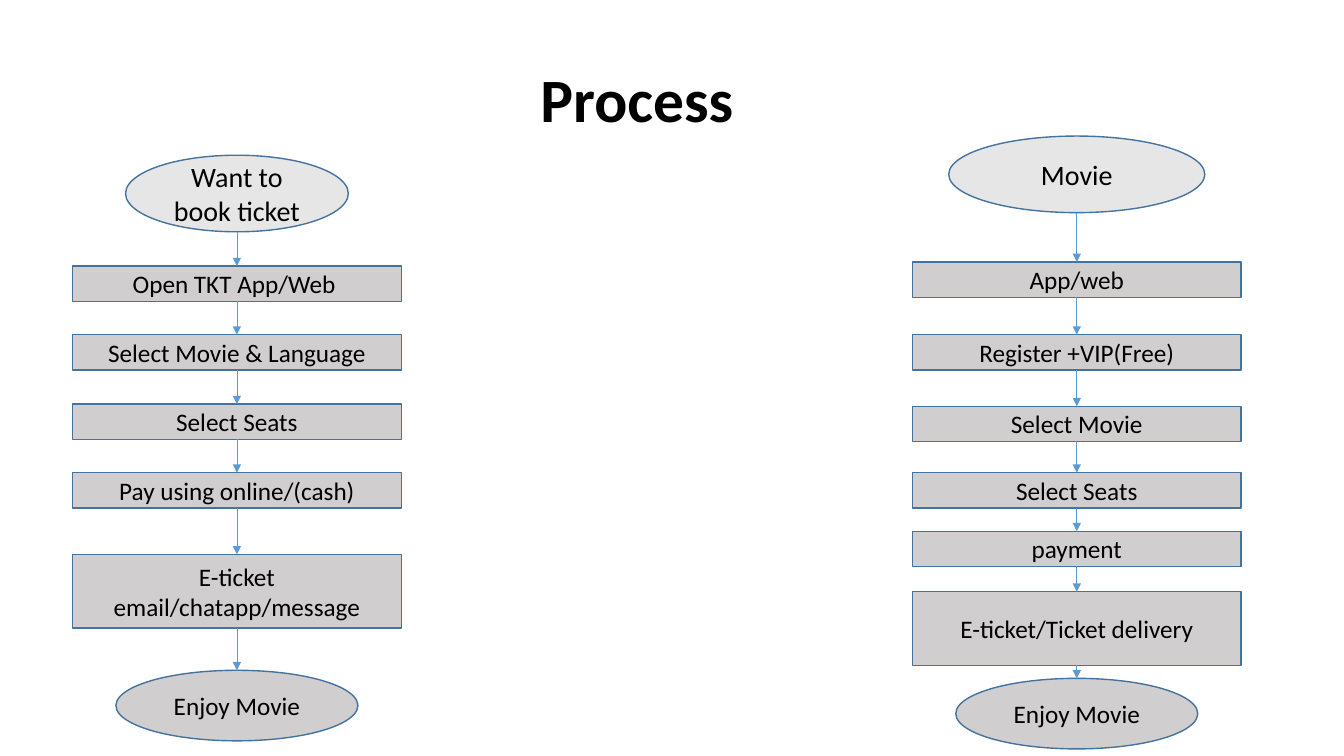
from lxml.etree import SubElement
from pptx import Presentation
from pptx.dml.color import RGBColor
from pptx.enum.shapes import MSO_CONNECTOR, MSO_SHAPE
from pptx.enum.text import MSO_ANCHOR, MSO_AUTO_SIZE, PP_ALIGN
from pptx.oxml.ns import qn
from pptx.util import Inches, Pt

FONT = "Calibri"
OVAL, RECT = MSO_SHAPE.OVAL, MSO_SHAPE.RECTANGLE
KINDS = {
    "start": dict(shape=OVAL, height=0.76, fill="E7E6E6", size=20),
    "step": dict(shape=RECT, width=3.26, height=0.35, fill="D0CECE", size=18),
    "ticket": dict(shape=RECT, width=3.26, height=0.73, fill="D0CECE", size=18),
    "end": dict(shape=OVAL, width=2.4, height=0.7, fill="D0CECE", size=18),
}
BOOKING = [
    ("start", 0, "Want to book ticket"),
    ("step", 1.1, "Open TKT App/Web "),
    ("step", 1.78, "Select Movie & Language"),
    ("step", 2.47, "Select Seats"),
    ("step", 3.15, "Pay using online/(cash)"),
    ("ticket", 3.96, "E-ticket email/chatapp/message"),
    ("end", 5.11, "Enjoy Movie"),
]
MOVIE = [
    ("start", 0, "Movie"),
    ("step", 1.25, "App/web"),
    ("step", 1.97, "Register +VIP(Free)"),
    ("step", 2.68, "Select Movie"),
    ("step", 3.34, "Select Seats"),
    ("step", 3.92, "payment"),
    ("ticket", 4.52, "E-ticket/Ticket delivery"),
    ("end", 5.38, "Enjoy Movie"),
]


def color(value):
    """Turn a hex string into a colour."""
    return RGBColor.from_string(value)


def write(tf, text, size, align, bold=False):
    """Write one formatted paragraph, centred vertically."""
    for name, value in dict(word_wrap=True, auto_size=MSO_AUTO_SIZE.NONE,
                            vertical_anchor=MSO_ANCHOR.MIDDLE).items():
        setattr(tf, name, value)
    p = tf.paragraphs[0]
    p.alignment = align
    r = p.add_run()
    r.text = text
    for name, value in dict(name=FONT, size=Pt(size), bold=bold).items():
        setattr(r.font, name, value)
    r.font.color.rgb = color("000000")


def add_title(s, left, top, width, height):
    """Place and format the title placeholder."""
    title = s.shapes.title
    for name, value in dict(left=left, top=top, width=width, height=height).items():
        setattr(title, name, Inches(value))
    write(title.text_frame, "Process", 44, PP_ALIGN.LEFT, True)
    title.text_frame.paragraphs[0].line_spacing = 0.9


def add_node(s, center, top, width, text, kind):
    """Draw one step of a flow around its centre line."""
    sp = s.shapes.add_shape(kind["shape"], Inches(center - width / 2), Inches(top),
                            Inches(width), Inches(kind["height"]))
    sp.shadow.inherit = False
    sp.fill.solid()
    sp.fill.fore_color.rgb = color(kind["fill"])
    sp.line.color.rgb = color("43739E")
    sp.line.width = Pt(1)
    write(sp.text_frame, text, kind["size"], PP_ALIGN.CENTER)


def add_arrow(s, x, top, bottom):
    """Draw a downward arrow."""
    arrow = s.shapes.add_connector(MSO_CONNECTOR.STRAIGHT, Inches(x), Inches(top),
                                   Inches(x), Inches(bottom))
    arrow.line.color.rgb = color("5B9BD5")
    arrow.line.width = Pt(0.5)
    SubElement(arrow.line._get_or_add_ln(), qn("a:tailEnd"), type="triangle")
    SubElement(arrow._element.spPr, qn("a:effectLst"))


def add_flow(s, left, top, width, start_width, steps):
    """Draw a column of steps joined by arrows."""
    center = left + width / 2
    bottom = None
    for name, offset, text in steps:
        kind = KINDS[name]
        y = top + offset
        add_node(s, center, y, kind.get("width", start_width), text, kind)
        if bottom is not None:
            add_arrow(s, center, bottom, y)
        bottom = y + kind["height"]


def main():
    """Build and save the process slide."""
    prs = Presentation()
    prs.slide_width, prs.slide_height = Inches(13.33), Inches(7.5)
    s = prs.slides.add_slide(prs.slide_layouts[5])
    add_title(s, 5.26, 0.29, 3, 1.45)
    add_flow(s, 0.72, 1.54, 3.26, 2.21, BOOKING)
    add_flow(s, 9.05, 1.35, 3.26, 2.54, MOVIE)
    prs.save("out.pptx")


main()
